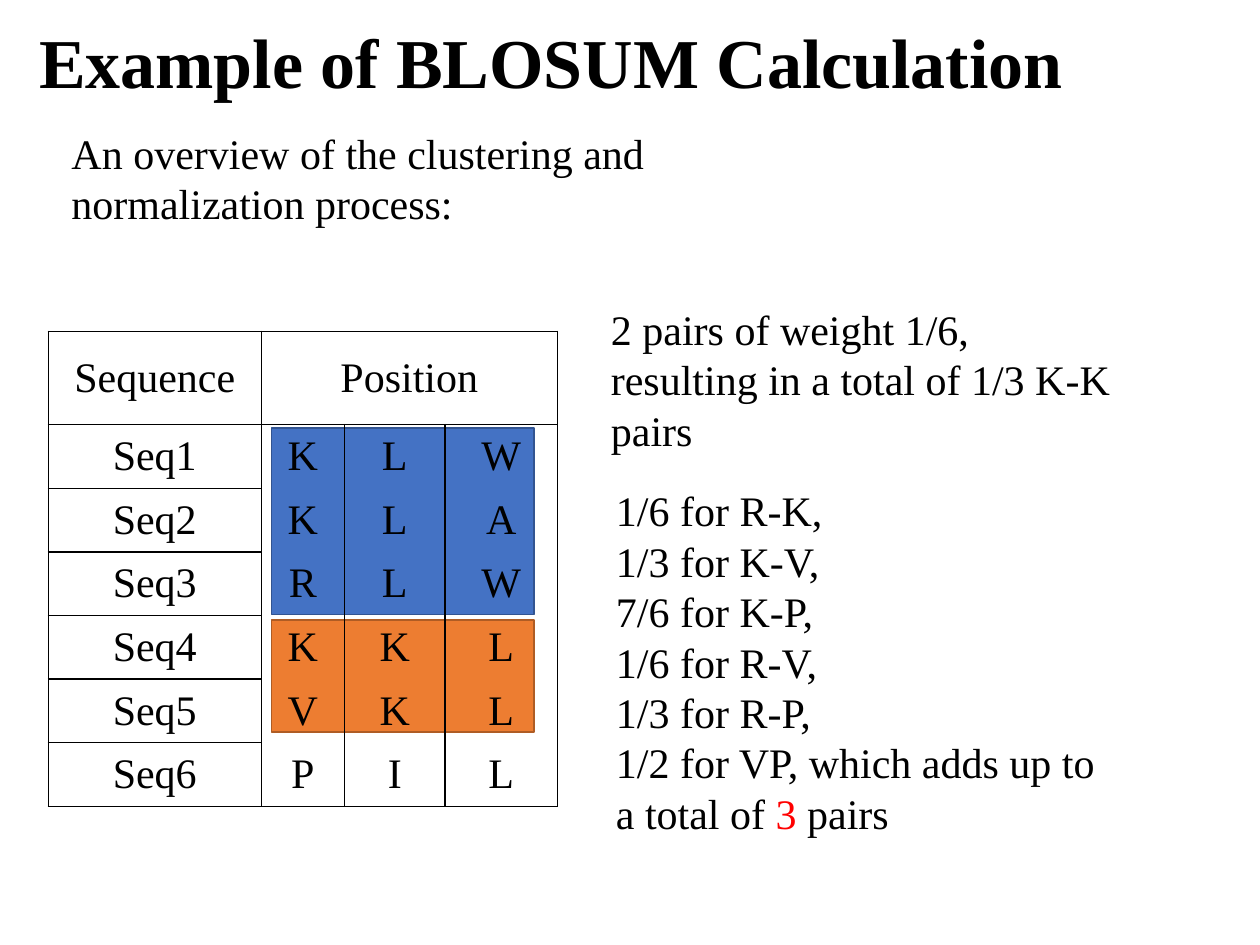
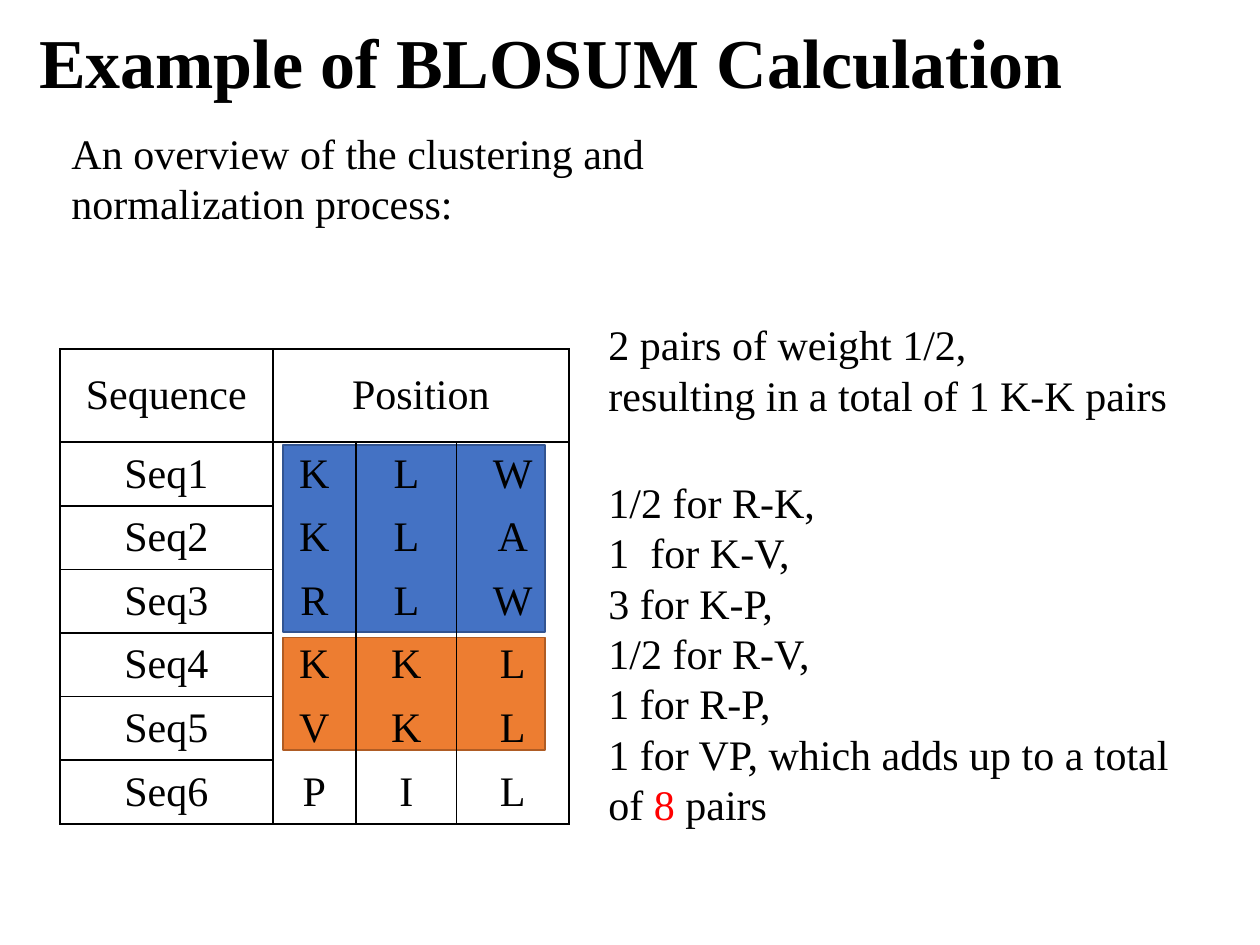
from dataclasses import dataclass

from lxml.etree import SubElement
from pptx import Presentation
from pptx.dml.color import RGBColor
from pptx.enum.shapes import MSO_SHAPE
from pptx.enum.text import MSO_ANCHOR, MSO_AUTO_SIZE, PP_ALIGN
from pptx.oxml.ns import qn
from pptx.slide import Slide
from pptx.table import _Cell as Cell
from pptx.text.text import Font, TextFrame
from pptx.util import Pt

BLACK = RGBColor(0x00, 0x00, 0x00)
RED = RGBColor(0xFF, 0x00, 0x00)
BLUE = RGBColor(0x44, 0x72, 0xC4)
DARK_BLUE = RGBColor(0x32, 0x54, 0x91)
ORANGE = RGBColor(0xED, 0x7D, 0x31)
DARK_ORANGE = RGBColor(0xAF, 0x5C, 0x24)

FONT_NAME = "Times New Roman"
TITLE_SIZE = Pt(40)
BODY_SIZE = Pt(24)
TITLE_ONLY_LAYOUT = 5

TITLE = "Example of BLOSUM Calculation"
OVERVIEW = "An overview of the clustering and normalization process:"
SEQUENCES = ["KLW", "KLA", "RLW", "KKL", "VKL", "PIL"]
COLUMN_WIDTHS = [121.7, 47.5, 57.6, 64.1]
HEADER_HEIGHT = 53.3
ROW_HEIGHT = 36.36
CLUSTER_LEFT = 127.6
CLUSTER_WIDTH = 149.8


@dataclass(frozen=True)
class Box:
    left: float
    top: float
    width: float
    height: float

    def lengths(self) -> tuple[Pt, Pt, Pt, Pt]:
        return Pt(self.left), Pt(self.top), Pt(self.width), Pt(self.height)


@dataclass(frozen=True)
class Cluster:
    """A coloured block of similar sequences; top counts from the table top."""
    top: float
    height: float
    fill: RGBColor
    line: RGBColor


@dataclass(frozen=True)
class Note:
    """Text lines; a part between asterisks is red."""
    box: Box
    lines: list[str]


@dataclass(frozen=True)
class Example:
    table_left: float
    table_top: float
    notes: list[Note]


TITLE_BOX = Box(15.1, 7.2, 689.8, 55.4)
OVERVIEW_NOTE = Note(Box(33.8, 69.1, 417.6, 65.5), [OVERVIEW])
CLUSTERS = [
    Cluster(164.9, 64.1, ORANGE, DARK_ORANGE),
    Cluster(55.1, 106.6, BLUE, DARK_BLUE),
]
EXAMPLES = [
    Example(27.6, 189.4, [
        Note(Box(342, 169.9, 342, 94.3),
             ["2 pairs of weight 1/6,", "resulting in a total of 1/3 K-K pairs"]),
        Note(Box(344.9, 273.6, 301, 211),
             ["1/6 for R-K,", "1/3 for K-V,", "7/6 for K-P,", "1/6 for R-V,",
              "1/3 for R-P,", "1/2 for VP, which adds up to a total of *3* pairs"]),
    ]),
    Example(34.2, 199.4, [
        Note(Box(340.6, 178.6, 342, 65.5),
             ["2 pairs of weight 1/2,", "resulting in a total of 1 K-K pairs"]),
        Note(Box(340.6, 268.6, 342, 211),
             ["1/2 for R-K,", "1  for K-V,", "3 for K-P,", "1/2 for R-V,",
              "1 for R-P,", "1 for VP, which adds up to a total of *8* pairs"]),
    ]),
]


def style_font(font: Font, size: Pt = BODY_SIZE, color: RGBColor = BLACK,
               bold: bool = False) -> None:
    font.name = FONT_NAME
    font.size = size
    font.bold = bold
    font.color.rgb = color


def fit_shape_to_text(text_frame: TextFrame) -> None:
    text_frame.word_wrap = True
    text_frame.auto_size = MSO_AUTO_SIZE.SHAPE_TO_FIT_TEXT
    text_frame.vertical_anchor = MSO_ANCHOR.TOP


def set_title(slide: Slide) -> None:
    title = slide.shapes.title
    title.left, title.top, title.width, title.height = TITLE_BOX.lengths()
    title.text_frame.text = TITLE
    fit_shape_to_text(title.text_frame)
    paragraph = title.text_frame.paragraphs[0]
    paragraph.alignment = PP_ALIGN.LEFT
    style_font(paragraph.runs[0].font, TITLE_SIZE, bold=True)


def add_note(slide: Slide, note: Note) -> None:
    text_frame = slide.shapes.add_textbox(*note.box.lengths()).text_frame
    text_frame.text = "\n".join(note.lines)
    fit_shape_to_text(text_frame)
    for paragraph, line in zip(text_frame.paragraphs, note.lines):
        parts = line.split("*")
        paragraph.text = parts[0]
        for part in parts[1:]:
            paragraph.add_run().text = part
        for index, run in enumerate(paragraph.runs):
            style_font(run.font, color=RED if index % 2 else BLACK)


def add_cluster(slide: Slide, example: Example, cluster: Cluster) -> None:
    box = Box(example.table_left + CLUSTER_LEFT, example.table_top + cluster.top,
              CLUSTER_WIDTH, cluster.height)
    shape = slide.shapes.add_shape(MSO_SHAPE.RECTANGLE, *box.lengths())
    shape.shadow.inherit = False
    shape.fill.solid()
    shape.fill.fore_color.rgb = cluster.fill
    shape.line.color.rgb = cluster.line
    shape.line.width = Pt(1)


def set_borders(cell: Cell, sides: str) -> None:
    """Draw the sides named by the letters L, R, T and B; clear the others."""
    properties = cell._tc.get_or_add_tcPr()
    for side in "LRTB":
        line = SubElement(properties, qn(f"a:ln{side}"), w=str(Pt(1)))
        if side in sides:
            fill = SubElement(line, qn("a:solidFill"))
            SubElement(fill, qn("a:srgbClr"), val=str(BLACK))
        else:
            SubElement(line, qn("a:noFill"))


def format_cell(cell: Cell, text: str, sides: str) -> None:
    set_borders(cell, sides)
    cell.fill.background()
    cell.vertical_anchor = MSO_ANCHOR.MIDDLE
    cell.text_frame.text = text
    paragraph = cell.text_frame.paragraphs[0]
    paragraph.alignment = PP_ALIGN.CENTER
    for run in paragraph.runs:
        style_font(run.font)


def residue_sides(row: int) -> str:
    """Residue columns have no lines between their rows."""
    top = "T" if row == 1 else ""
    bottom = "B" if row == len(SEQUENCES) else ""
    return "LR" + top + bottom


def add_sequence_table(slide: Slide, example: Example) -> None:
    rows = [["Sequence", "Position", "", ""]]
    rows += [[f"Seq{number}", *residues] for number, residues in enumerate(SEQUENCES, 1)]
    box = Box(example.table_left, example.table_top, sum(COLUMN_WIDTHS),
              HEADER_HEIGHT + ROW_HEIGHT * len(SEQUENCES))
    table = slide.shapes.add_table(len(rows), len(COLUMN_WIDTHS), *box.lengths()).table
    table.first_row = False
    table.horz_banding = False
    for column, width in zip(table.columns, COLUMN_WIDTHS):
        column.width = Pt(width)
    for row_index, texts in enumerate(rows):
        table.rows[row_index].height = Pt(ROW_HEIGHT if row_index else HEADER_HEIGHT)
        for column_index, text in enumerate(texts):
            boxed = row_index == 0 or column_index == 0
            sides = "LRTB" if boxed else residue_sides(row_index)
            format_cell(table.cell(row_index, column_index), text, sides)
    table.cell(0, 1).merge(table.cell(0, len(COLUMN_WIDTHS) - 1))


def main() -> None:
    presentation = Presentation()
    presentation.slide_width = Pt(720)
    presentation.slide_height = Pt(540)
    for example in EXAMPLES:
        slide = presentation.slides.add_slide(presentation.slide_layouts[TITLE_ONLY_LAYOUT])
        set_title(slide)
        for cluster in CLUSTERS:
            add_cluster(slide, example, cluster)
        add_sequence_table(slide, example)
        for note in [OVERVIEW_NOTE, *example.notes]:
            add_note(slide, note)
    presentation.save("out.pptx")


if __name__ == "__main__":
    main()
